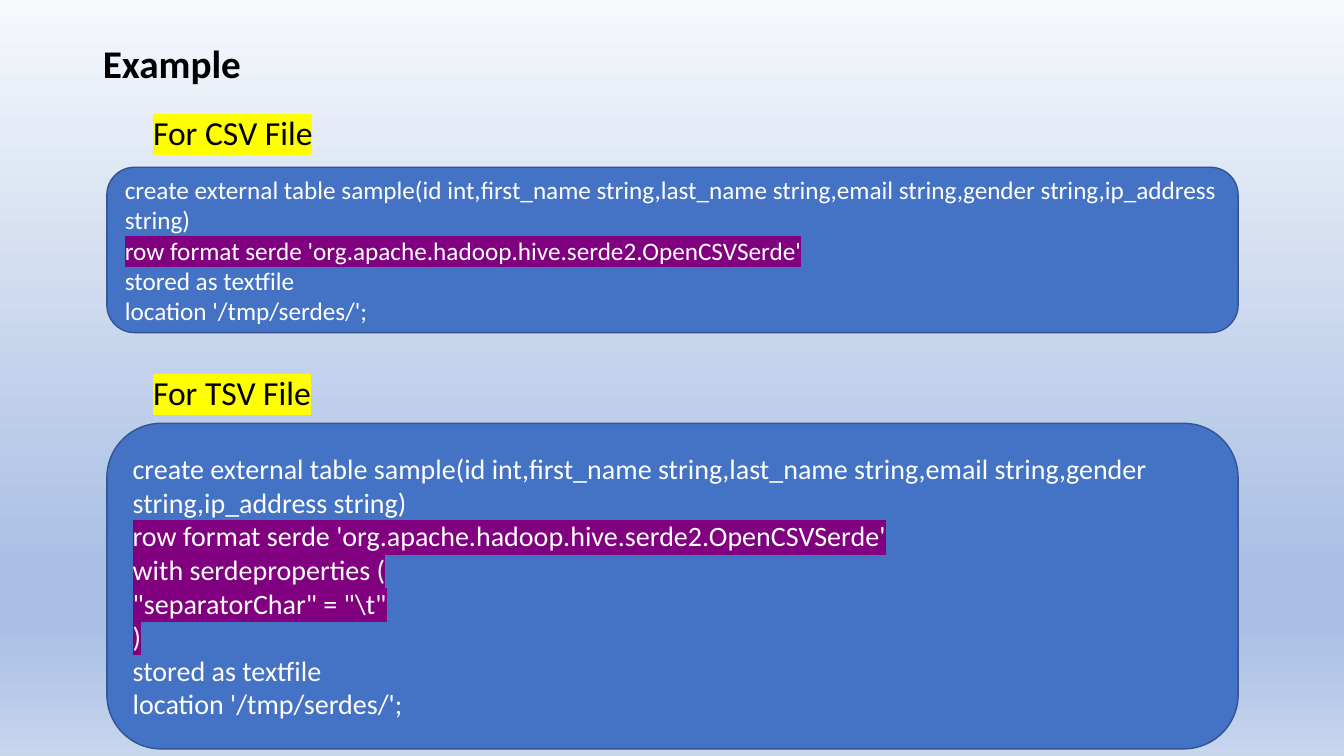
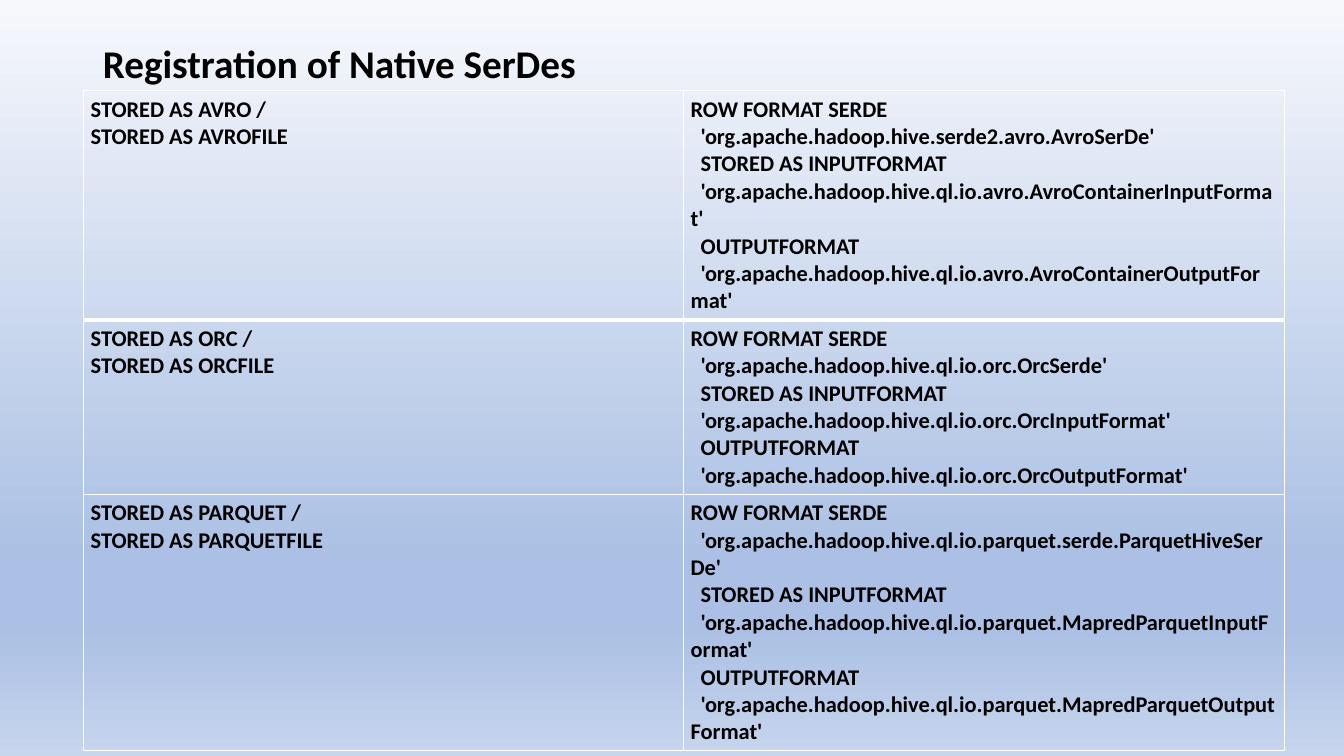
from copy import deepcopy

from lxml import etree
from pptx import Presentation
from pptx.dml.color import RGBColor
from pptx.enum.shapes import MSO_SHAPE
from pptx.enum.text import MSO_ANCHOR, MSO_AUTO_SIZE, PP_ALIGN
from pptx.oxml.ns import qn
from pptx.util import Inches, Pt

ROUND = MSO_SHAPE.ROUNDED_RECTANGLE
MIDDLE, TOP = MSO_ANCHOR.MIDDLE, MSO_ANCHOR.TOP
LEFT = PP_ALIGN.LEFT
FIXED = MSO_AUTO_SIZE.NONE

BLACK = RGBColor(0x00, 0x00, 0x00)
WHITE = RGBColor(0xFF, 0xFF, 0xFF)
BLUE = RGBColor(0x44, 0x72, 0xC4)
EDGE = RGBColor(0x32, 0x54, 0x91)
YELLOW = RGBColor(0xFF, 0xFF, 0x00)
PURPLE = RGBColor(0x80, 0x00, 0x80)
SKY = [
    (0, RGBColor(0xF6, 0xF8, 0xFC)),
    (0.74, RGBColor(0xAB, 0xC0, 0xE4)),
    (0.83, RGBColor(0xAB, 0xC0, 0xE4)),
    (1, RGBColor(0xC7, 0xD5, 0xED)),
]
FONT = "Calibri"


def write(frame, lines, size=16, color=BLACK, bold=False, anchor=TOP,
          space=1.0, mark=None, marked=(), indent=0):
    """Fill frame with lines; highlight the marked ones, indent all but the first."""
    frame.word_wrap = True
    frame.auto_size = FIXED
    frame.vertical_anchor = anchor
    for i, line in enumerate(lines):
        para = frame.paragraphs[0] if i == 0 else frame.add_paragraph()
        para.alignment = LEFT
        para.line_spacing = space
        if indent and i:
            para._p.get_or_add_pPr().set("indent", str(Inches(indent)))
        run = para.add_run()
        run.text = line
        font = run.font
        font.size, font.bold = Pt(size), bold
        font.color.rgb = color
        if i in marked:
            light = etree.SubElement(run._r.get_or_add_rPr(), qn("a:highlight"))
            etree.SubElement(light, qn("a:srgbClr"), val=str(mark))
        font.name = FONT


def start(title):
    """Add a slide with its title."""
    slide = deck.slides.add_slide(layout)
    write(slide.shapes.title.text_frame, [title], size=28, bold=True,
          anchor=MIDDLE, space=0.9)
    return slide


deck = Presentation()
deck.slide_width, deck.slide_height = Inches(13.33), Inches(7.5)

# Shared background and title place
master = deck.slide_master
fill = master.background.fill
fill.gradient()
fill.gradient_angle = 270
stops = master.element.find(".//" + qn("a:gsLst"))
for _ in SKY[len(stops):]:
    stops.append(deepcopy(stops[-1]))
for stop, (place, color) in zip(fill.gradient_stops, SKY):
    stop.position = place
    stop.color.rgb = color

layout = deck.slide_layouts[5]
head = layout.placeholders[0]
head.left, head.top = Inches(0.92), Inches(0.4)
head.width, head.height = Inches(11.5), Inches(0.5)

# Slide 1: statements for two file types
CREATE = ("create external table sample(id int,first_name string,"
          "last_name string,email string,gender string,ip_address string)")
SERDE = "row format serde 'org.apache.hadoop.hive.serde2.OpenCSVSerde'"
PROPS = ["with serdeproperties (", "\"separatorChar\" = \"\\t\"", ")"]
END = ["stored as textfile", "location '/tmp/serdes/';"]

slide = start("Example")
for label, y, top, height, size, props in [
    ("For CSV File", 1.11, 1.66, 1.64, 18, []),
    ("For TSV File", 3.69, 4.2, 3.23, 20, PROPS),
]:
    box = slide.shapes.add_textbox(Inches(1.42), Inches(y), Inches(11), Inches(0.5))
    write(box.text_frame, [label], size=24, space=0.9, mark=YELLOW, marked=[0])

    panel = slide.shapes.add_shape(ROUND, Inches(1.06), Inches(top),
                                   Inches(11.22), Inches(height))
    panel.shadow.inherit = False
    panel.fill.solid()
    panel.fill.fore_color.rgb = BLUE
    panel.line.color.rgb = EDGE
    panel.line.width = Pt(1)
    write(panel.text_frame, [CREATE, SERDE, *props, *END], size=size, color=WHITE,
          anchor=MIDDLE, mark=PURPLE, marked=range(1, 2 + len(props)))

# Slide 2: table of native formats
BASE = "org.apache.hadoop.hive."
FORMATS = [
    ("AVRO", 2.27, "serde2.avro.AvroSerDe", "ql.io.avro.AvroContainerInputFormat",
     "ql.io.avro.AvroContainerOutputFormat"),
    ("ORC", 1.73, "ql.io.orc.OrcSerde", "ql.io.orc.OrcInputFormat",
     "ql.io.orc.OrcOutputFormat"),
    ("PARQUET", 2.54, "ql.io.parquet.serde.ParquetHiveSerDe",
     "ql.io.parquet.MapredParquetInputFormat",
     "ql.io.parquet.MapredParquetOutputFormat"),
]
PARTS = ["ROW FORMAT SERDE", "STORED AS INPUTFORMAT", "OUTPUTFORMAT"]

slide = start("Registration of Native SerDes")
total = sum(row[1] for row in FORMATS)
table = slide.shapes.add_table(len(FORMATS), 2, Inches(0.83), Inches(0.9),
                               Inches(11.91), Inches(total)).table
table.first_row = table.horz_banding = False
table.columns[0].width, table.columns[1].width = Inches(5.95), Inches(5.96)

for r, (name, height, *names) in enumerate(FORMATS):
    table.rows[r].height = Inches(height)
    short = [f"STORED AS {name} /", f"STORED AS {name}FILE"]
    full = [line for part, item in zip(PARTS, names)
            for line in (part, f"'{BASE}{item}'")]
    for c, lines in enumerate([short, full]):
        cell = table.cell(r, c)
        cell.margin_left = cell.margin_right = Inches(0.07)
        cell.margin_top = cell.margin_bottom = Inches(0.05)
        props = cell._tc.get_or_add_tcPr()
        for side in "LRTB":
            thick = (r, side) in [(0, "B"), (1, "T")]
            line = etree.SubElement(props, qn(f"a:ln{side}"),
                                    w=str(Pt(3 if thick else 1)))
            paint = etree.SubElement(line, qn("a:solidFill"))
            etree.SubElement(paint, qn("a:srgbClr"), val=str(WHITE))
        cell.fill.background()
        write(cell.text_frame, lines, bold=True, indent=0.1 * c)

deck.save("out.pptx")
